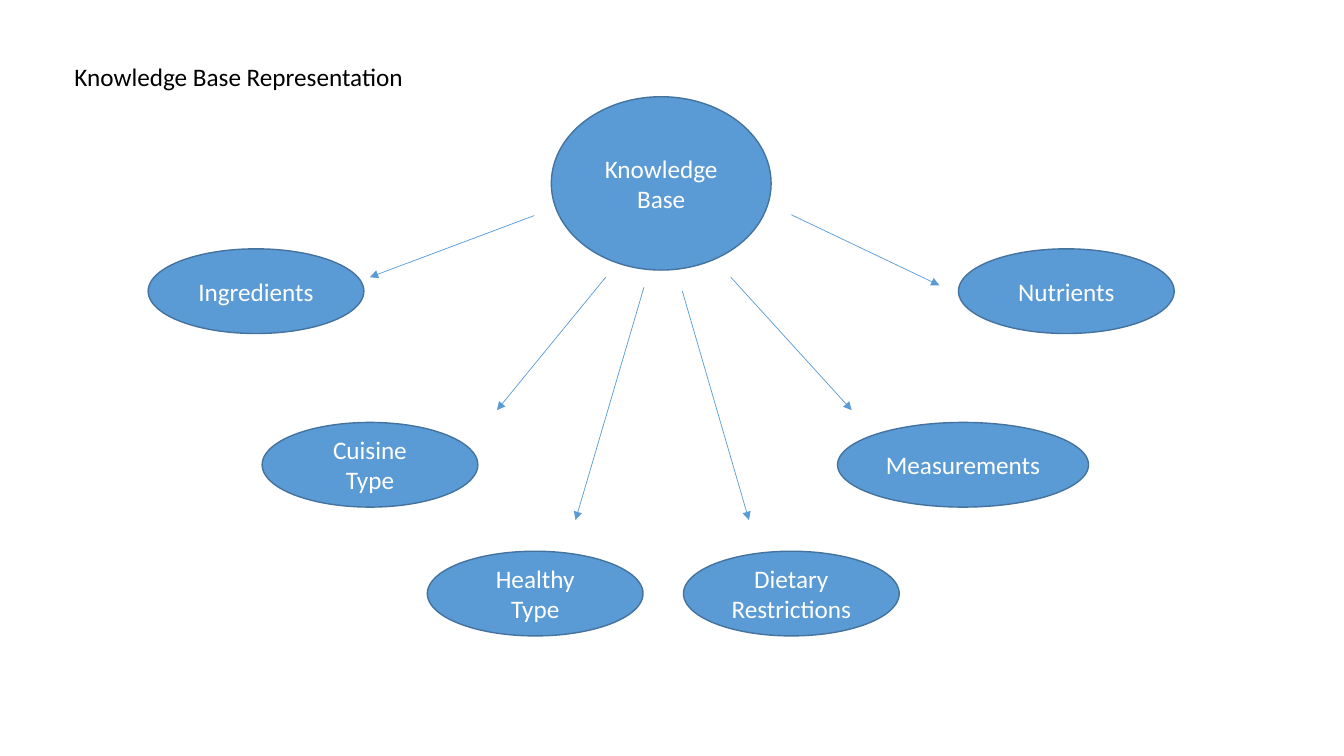
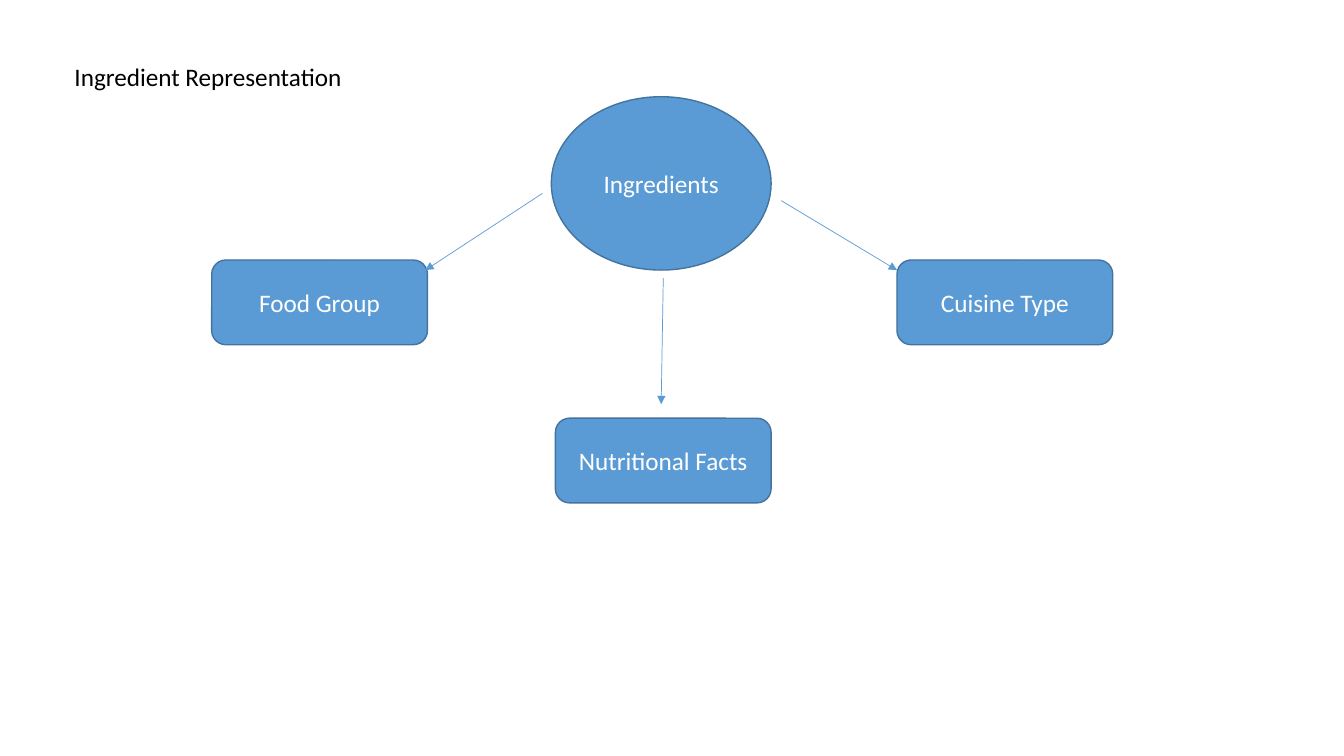
from pptx import Presentation
from pptx.dml.color import RGBColor
from pptx.enum.shapes import MSO_CONNECTOR as LINK, MSO_SHAPE as SHAPE
from pptx.enum.text import MSO_ANCHOR as ANCHOR, MSO_AUTO_SIZE as FIT, PP_ALIGN as ALIGN
from pptx.oxml.ns import qn
from pptx.util import Pt
from lxml.etree import SubElement

BLUE = RGBColor(0x5B, 0x9B, 0xD5)
EDGE = RGBColor(0x43, 0x73, 0x9E)
WHITE = RGBColor(255, 255, 255)
BLACK = RGBColor(0, 0, 0)

FONT = "Calibri"
WIDE, HIGH = 960, 540
TITLE = (46, 40.3, 252, 29)
HUB = (393.8, 69.1, 157, 123.8)
NODE = (154.1, 60.5)
BROAD = (179.3, 60.5)


def write(shape, text, size=18, color=WHITE, align=ALIGN.CENTER, wrap=True, fit=FIT.NONE,
          anchor=ANCHOR.MIDDLE):
    frame = shape.text_frame
    frame.text = text
    frame.word_wrap = wrap
    frame.auto_size = fit
    frame.vertical_anchor = anchor
    for para in frame.paragraphs:
        para.alignment = align
        font = para.font
        font.name, font.size, font.color.rgb = FONT, Pt(size), color


def head(slide, box, text):
    title = slide.shapes.title
    title.left, title.top, title.width, title.height = map(Pt, box)
    write(title, text, color=BLACK, align=ALIGN.LEFT, wrap=False,
          fit=FIT.SHAPE_TO_FIT_TEXT, anchor=ANCHOR.TOP)


def node(slide, kind, mid, size, text):
    """Draw a labelled shape centred on a point."""
    x, y = mid
    w, h = size
    shape = slide.shapes.add_shape(kind, Pt(x - w / 2), Pt(y - h / 2), Pt(w), Pt(h))
    shape.shadow.inherit = False
    shape.fill.solid()
    shape.fill.fore_color.rgb = BLUE
    shape.line.color.rgb = EDGE
    shape.line.width = Pt(1)
    write(shape, text)


def arrow(slide, start, end):
    link = slide.shapes.add_connector(LINK.STRAIGHT, *map(Pt, start + end))
    link.line.color.rgb = BLUE
    link.line.width = Pt(0.5)
    SubElement(link.line._get_or_add_ln(), qn("a:tailEnd"), type="triangle")
    SubElement(link._element.spPr, qn("a:effectLst"))


def web(slide, box, label, kind, leaves):
    """Draw a hub in the box; leaf places count from the hub's centre."""
    left, top, w, h = box
    mid = (left + w / 2, top + h / 2)

    def place(spot):
        return mid[0] + spot[0], mid[1] + spot[1]

    node(slide, SHAPE.OVAL, mid, (w, h), label)
    for text, spot, size, start, end in leaves:
        node(slide, kind, place(spot), size, text)
        arrow(slide, place(start), place(end))


# Each leaf: text, centre, size, arrow start, arrow end
BASE = [
    ("Ingredients", (-289.4, 77), NODE, (-90.7, 23), (-208.1, 67)),
    ("Cuisine\nType", (-208, 201), NODE, (-39.6, 67), (-117.3, 162)),
    ("Healthy Type", (-90, 293), NODE, (-12.3, 74.2), (-61.2, 240.5)),
    ("Dietary Restrictions", (93, 293), NODE, (15.1, 77), (62.7, 240.5)),
    ("Measurements", (215.6, 201), BROAD, (49.7, 67), (136.1, 162)),
    ("Nutrients", (289.4, 77), NODE, (92.9, 22.4), (198.7, 72.8)),
]
PARTS = [
    ("Food Group", (-244, 85), NODE, (-84.9, 7.2), (-168.5, 62)),
    ("Nutritional Facts", (1.5, 198), NODE, (1.5, 67.7), (0, 157.7)),
    ("Cuisine Type", (245.5, 85), NODE, (85.7, 12.3), (168.5, 62)),
]
SLIDES = [
    ("Knowledge Base Representation", "Knowledge Base", SHAPE.OVAL, BASE),
    ("Ingredient Representation", "Ingredients", SHAPE.ROUNDED_RECTANGLE, PARTS),
]

deck = Presentation()
deck.slide_width, deck.slide_height = Pt(WIDE), Pt(HIGH)
for name, label, kind, leaves in SLIDES:
    page = deck.slides.add_slide(deck.slide_layouts[5])
    head(page, TITLE, name)
    web(page, HUB, label, kind, leaves)
deck.save("out.pptx")
